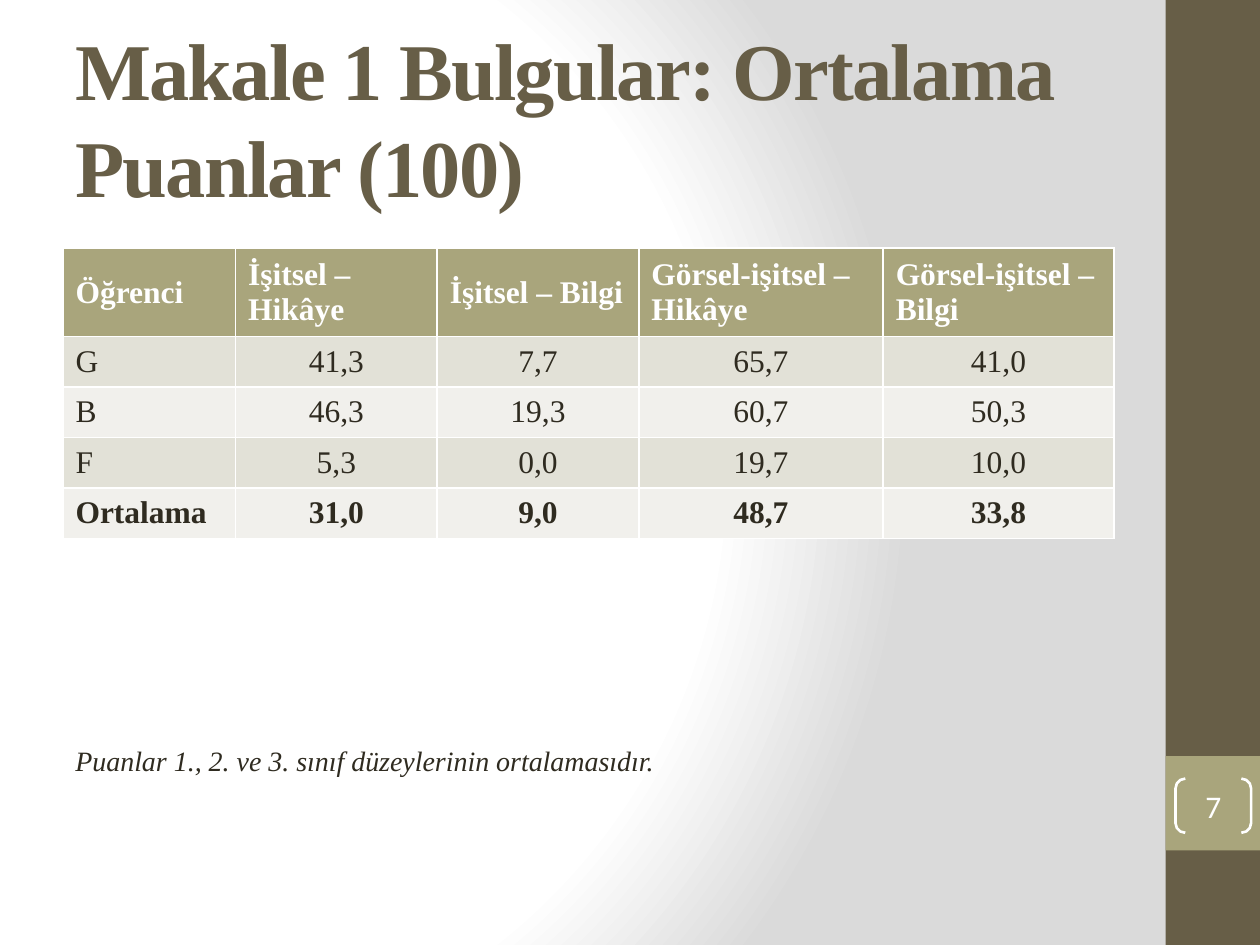
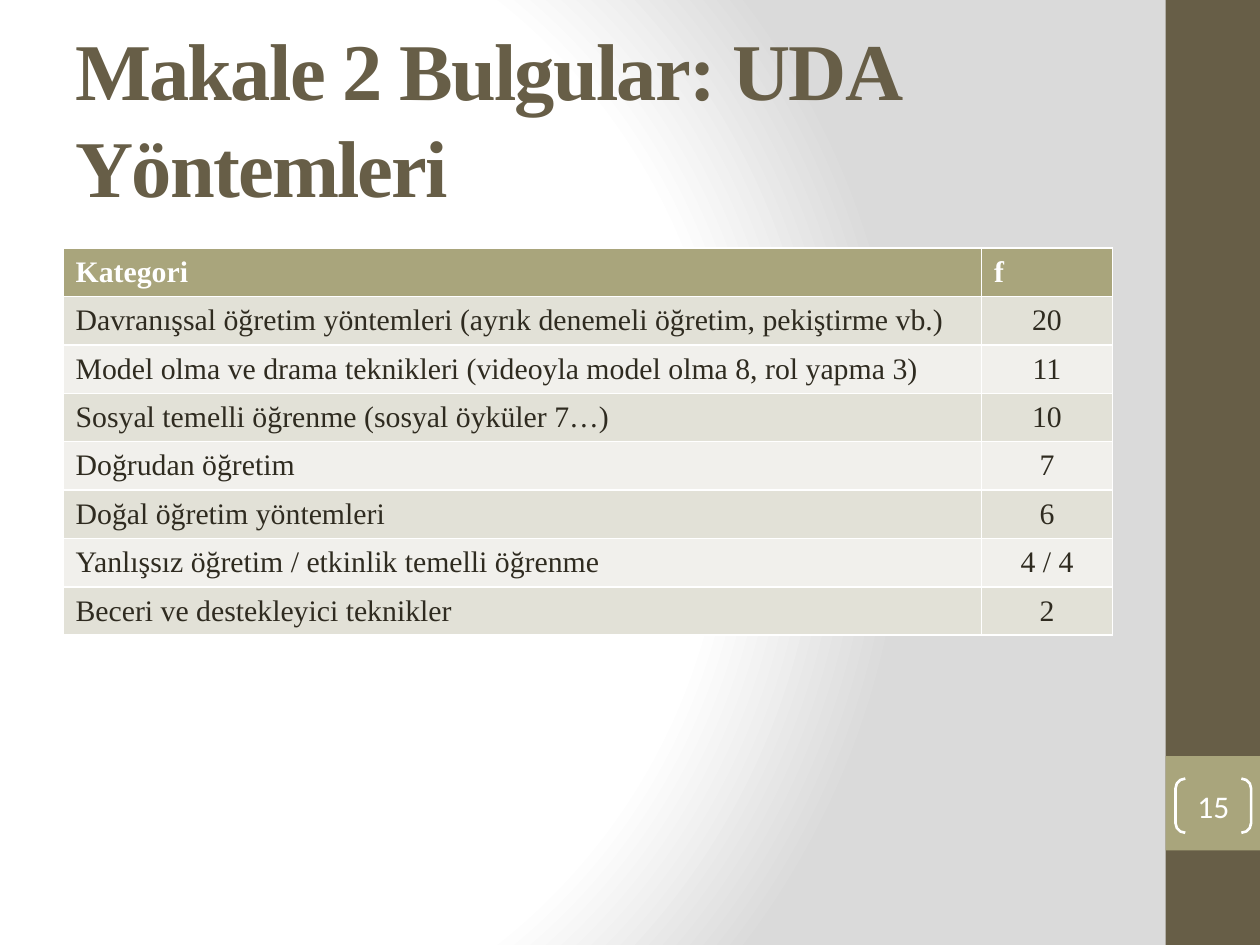
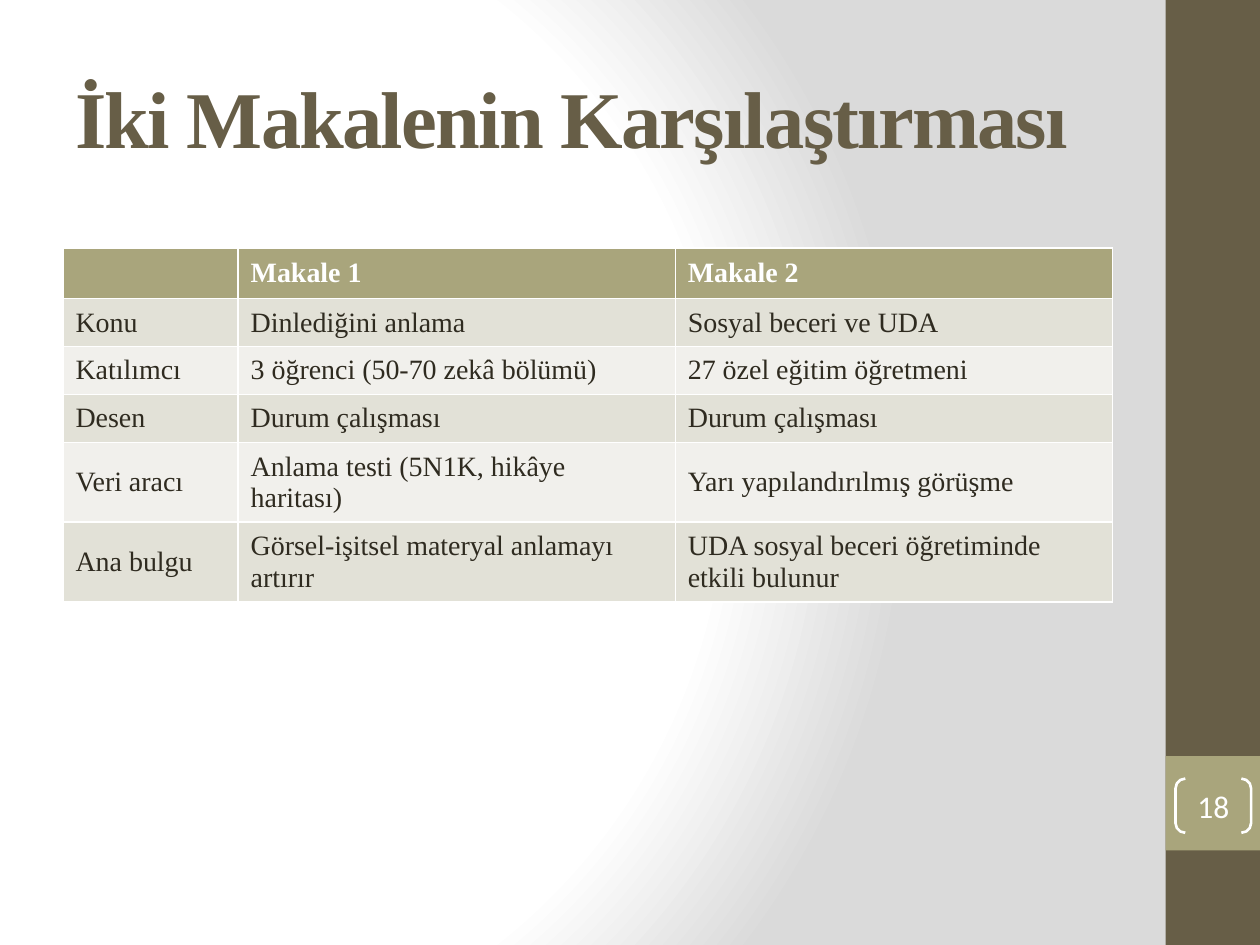
"""Build three slides of findings on a grid of 40 columns by 30 rows."""
import pptx
import pptx.dml.color
import pptx.enum.shapes
import pptx.enum.text
import pptx.oxml
import pptx.oxml.ns
import pptx.util

WIDE, HIGH = pptx.util.Inches(10), pptx.util.Inches(7.5)
COL, ROW = WIDE / 40, HIGH / 30
LEFT, SPAN, LINE = 2, 33.32, 1.52
HUES = {"dark": "675E47", "olive": "A9A57C", "odd": "E2E1D7",
        "even": "F1F0EC", "ink": "2F2B20", "white": "FFFFFF", "grey": "DADADA"}
SERIF, SANS = "Times New Roman", "Calibri"
FORM = pptx.enum.shapes.MSO_SHAPE
ALIGN = pptx.enum.text.PP_ALIGN
MIDDLE = pptx.enum.text.MSO_ANCHOR.MIDDLE

SCORES = [
    ["Öğrenci", "İşitsel – Hikâye", "İşitsel – Bilgi",
     "Görsel-işitsel – Hikâye", "Görsel-işitsel – Bilgi"],
    ["G", "41,3", "7,7", "65,7", "41,0"],
    ["B", "46,3", "19,3", "60,7", "50,3"],
    ["F", "5,3", "0,0", "19,7", "10,0"],
    ["Ortalama", "31,0", "9,0", "48,7", "33,8"],
]
METHODS = [
    ["Kategori", "f"],
    ["Davranışsal öğretim yöntemleri (ayrık denemeli öğretim, pekiştirme vb.)", "20"],
    ["Model olma ve drama teknikleri (videoyla model olma 8, rol yapma 3)", "11"],
    ["Sosyal temelli öğrenme (sosyal öyküler 7…)", "10"],
    ["Doğrudan öğretim", "7"],
    ["Doğal öğretim yöntemleri", "6"],
    ["Yanlışsız öğretim / etkinlik temelli öğrenme", "4 / 4"],
    ["Beceri ve destekleyici teknikler", "2"],
]
STUDIES = [
    ["", "Makale 1", "Makale 2"],
    ["Konu", "Dinlediğini anlama", "Sosyal beceri ve UDA"],
    ["Katılımcı", "3 öğrenci (50-70 zekâ bölümü)", "27 özel eğitim öğretmeni"],
    ["Desen", "Durum çalışması", "Durum çalışması"],
    ["Veri aracı", "Anlama testi (5N1K, hikâye haritası)", "Yarı yapılandırılmış görüşme"],
    ["Ana bulgu", "Görsel-işitsel materyal anlamayı artırır",
     "UDA sosyal beceri öğretiminde etkili bulunur"],
]


def hue(name):
    """Return the colour of that name."""
    return pptx.dml.color.RGBColor.from_string(HUES[name])


def place(x, y, wide, high):
    """Turn grid columns and rows into lengths."""
    return int(x * COL), int(y * ROW), int(wide * COL), int(high * ROW)


def write(frame, text, size=18, font=SERIF, color="ink", bold=False,
          slant=False, align=ALIGN.LEFT, track=0):
    """Put one formatted run into a text frame."""
    para = frame.paragraphs[0]
    para.alignment = align
    run = para.add_run()
    run.text = text
    run.font.size = pptx.util.Pt(size)
    run.font.name = font
    run.font.bold, run.font.italic = bold, slant
    run.font.color.rgb = hue(color)
    if track:
        run.font._element.set("spc", str(track * 100))


def label(slide, area, text, anchor=None, **style):
    """Add a wrapped text box."""
    frame = slide.shapes.add_textbox(*place(*area)).text_frame
    frame.word_wrap = True
    frame.vertical_anchor = anchor
    write(frame, text, **style)


def block(slide, area, form=FORM.RECTANGLE, fill=None, line=None):
    """Add a flat preset shape."""
    shape = slide.shapes.add_shape(form, *place(*area))
    shape.shadow.inherit = False
    if fill:
        shape.fill.solid()
        shape.fill.fore_color.rgb = hue(fill)
    else:
        shape.fill.background()
    if line:
        shape.line.color.rgb = hue(line)
        shape.line.width = pptx.util.Pt(1.5)
    else:
        shape.line.fill.background()
    return shape


def badge(slide, number):
    """Add the bracketed page number."""
    pair = block(slide, (37.32, 24.72, 2.4, 1.72), FORM.DOUBLE_BRACKET, line="white")
    pair.adjustments[0] = 0.18
    frame = pair.text_frame
    frame.margin_left = frame.margin_right = frame.margin_top = frame.margin_bottom = 0
    frame.vertical_anchor = MIDDLE
    write(frame, str(number), font=SANS, color="white", align=ALIGN.CENTER)


def grid(slide, rows, widths, size, center=True, total=False):
    """Add a table with a head row, bands and an optional bold last row."""
    area = place(LEFT, 7.88, SPAN, LINE * len(rows))
    table = slide.shapes.add_table(len(rows), len(widths), *area).table
    for column, width in zip(table.columns, widths):
        column.width = int(width * COL)
    for r, row in enumerate(rows):
        head = r == 0
        band = "olive" if head else "odd" if r % 2 else "even"
        for c, text in enumerate(row):
            cell = table.cell(r, c)
            cell.fill.solid()
            cell.fill.fore_color.rgb = hue(band)
            cell.vertical_anchor = MIDDLE
            if text:
                write(cell.text_frame, text, size=size,
                      color="white" if head else "ink",
                      bold=head or (total and r == len(rows) - 1),
                      align=ALIGN.CENTER if center and c and not head else ALIGN.LEFT)


def glow(master):
    """Give the master its round gradient."""
    fill = master.background.fill
    fill.gradient()
    old = master._element.find(".//" + pptx.oxml.ns.qn("a:gradFill"))
    stops = "".join(
        f'<a:gs pos="{pos}000"><a:srgbClr val="{HUES[name]}"/></a:gs>'
        for pos, name in ((0, "white"), (75, "white"), (100, "grey")))
    new = pptx.oxml.parse_xml(
        f'<a:gradFill {pptx.oxml.ns.nsdecls("a")} rotWithShape="1">'
        f'<a:gsLst>{stops}</a:gsLst><a:path path="circle">'
        '<a:fillToRect l="20000" t="50000" r="100000" b="50000"/>'
        '</a:path></a:gradFill>')
    old.getparent().replace(old, new)


def page(deck, title, number):
    """Add a slide with its side band, title and number."""
    slide = deck.slides.add_slide(deck.slide_layouts[6])
    block(slide, (37, 0, 3, 30), fill="dark")
    block(slide, (37, 24, 3, 3), fill="olive")
    label(slide, (LEFT, 1.2, SPAN, 5), title, anchor=MIDDLE, size=46,
          color="dark", bold=True, track=-1)
    badge(slide, number)
    return slide


def main():
    """Build and save the deck."""
    deck = pptx.Presentation()
    deck.slide_width, deck.slide_height = WIDE, HIGH
    glow(deck.slide_master)

    slide = page(deck, "Makale 1 Bulgular: Ortalama Puanlar (100)", 7)
    grid(slide, SCORES, [5.48, 6.4, 6.4, 7.76, 7.32], 18, total=True)
    label(slide, (LEFT, 23.4, SPAN, 3.92),
          "Puanlar 1., 2. ve 3. sınıf düzeylerinin ortalamasıdır.", size=16, slant=True)

    slide = page(deck, "Makale 2 Bulgular: UDA Yöntemleri", 15)
    grid(slide, METHODS, [29.16, 4.16], 17)

    slide = page(deck, "İki Makalenin Karşılaştırması", 18)
    grid(slide, STUDIES, [5.56, 13.88, 13.88], 16, center=False)

    deck.save("out.pptx")


if __name__ == "__main__":
    main()
